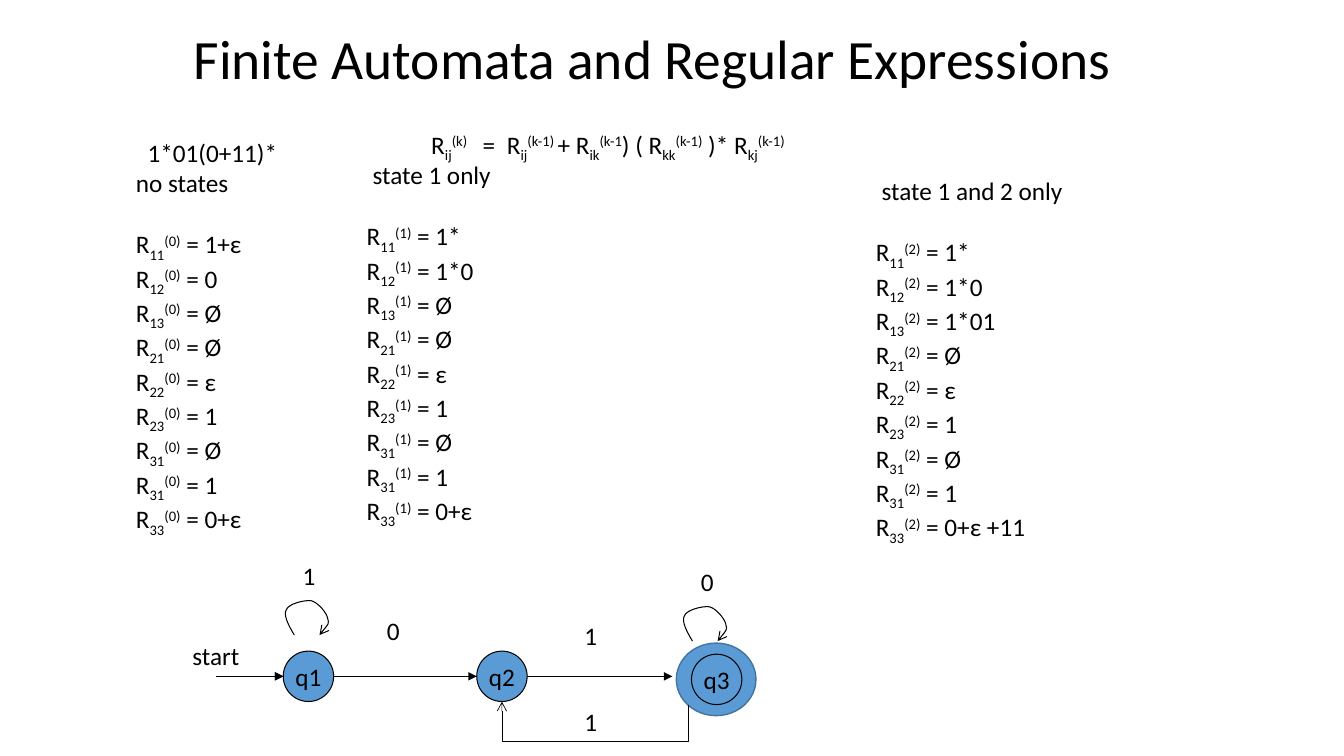
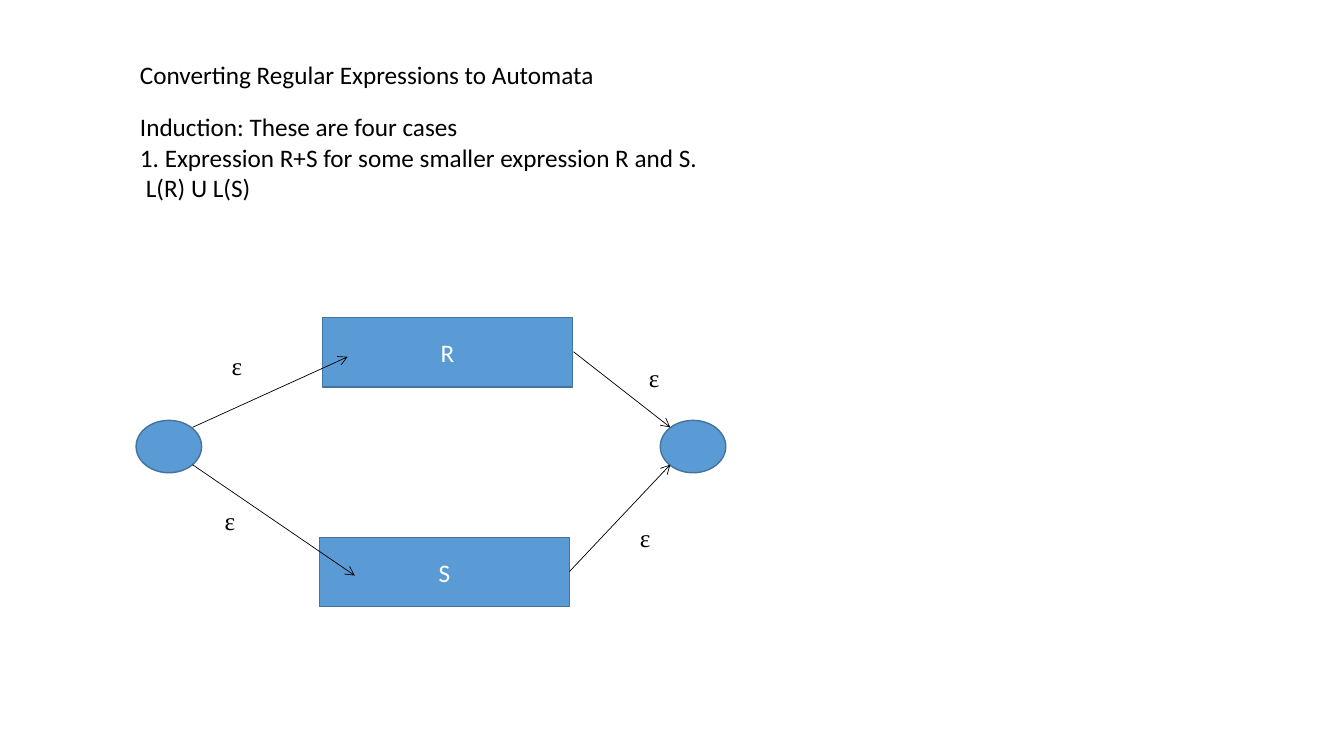
import itertools

import lxml.etree
import pptx
import pptx.dml.color
import pptx.enum.shapes
import pptx.enum.text
import pptx.oxml.ns
import pptx.util

SLIDE_WIDTH = pptx.util.Inches(13.33)
SLIDE_HEIGHT = pptx.util.Inches(7.5)
COLUMNS = 80
ROWS = 45

BLACK = pptx.dml.color.RGBColor(0x00, 0x00, 0x00)
WHITE = pptx.dml.color.RGBColor(0xFF, 0xFF, 0xFF)
BLUE = pptx.dml.color.RGBColor(0x5B, 0x9B, 0xD5)
DARK_BLUE = pptx.dml.color.RGBColor(0x43, 0x73, 0x9E)

BODY_FONT = "Calibri"
GREEK_FONT = "Times New Roman"
BLANK_LINE = 22
LABEL_HEIGHT = 2.4
STATE_SIZE = 3

RECTANGLE = pptx.enum.shapes.MSO_SHAPE.RECTANGLE
OVAL = pptx.enum.shapes.MSO_SHAPE.OVAL
CENTER = pptx.enum.text.PP_ALIGN.CENTER
TOP = pptx.enum.text.MSO_ANCHOR.TOP
MIDDLE = pptx.enum.text.MSO_ANCHOR.MIDDLE

INDEX_PAIRS = "11 12 13 21 22 23 31 31 33".split()
LOOP_CURVE = [
    (0.66, 2.1), (0.3, 1.5), (0, 0.9), (0.18, 0.6), (0.3, 0.24),
    (1.26, 0), (1.68, 0.06), (2.1, 0.18), (2.58, 0.78), (2.64, 1.08),
    (2.76, 1.44), (2.46, 1.74), (2.16, 2.1),
]


def col(count):
    return pptx.util.Emu(round(SLIDE_WIDTH * count / COLUMNS))


def row(count):
    return pptx.util.Emu(round(SLIDE_HEIGHT * count / ROWS))


def area(left, top, width, height):
    return col(left), row(top), col(width), row(height)


def add_element(parent, tag, **attributes):
    return lxml.etree.SubElement(parent, pptx.oxml.ns.qn(tag), attributes)


def write(frame, lines, size=18, font=BODY_FONT, color=BLACK, align=None,
          anchor=TOP, wrap=True, spacing=None, indents=None, gaps=None, tabs=()):
    """Each "|" in a line moves on from normal to subscript to superscript."""
    frame.word_wrap = wrap
    frame.vertical_anchor = anchor
    for number, line in enumerate(lines):
        paragraph = frame.add_paragraph() if number else frame.paragraphs[0]
        paragraph.alignment = align
        paragraph.line_spacing = spacing
        if gaps and number in gaps:
            paragraph.space_before = pptx.util.Pt(gaps[number])
        properties = paragraph._p.get_or_add_pPr()
        if indents and number in indents:
            properties.set("marL", str(col(indents[number])))
            properties.set("indent", "0")
        if tabs:
            stops = add_element(properties, "a:tabLst")
            for stop in tabs:
                add_element(stops, "a:tab", pos=str(col(stop)), algn="l")
        for part, baseline in zip(line.split("|"), itertools.cycle((0, -25000, 30000))):
            run = paragraph.add_run()
            run.text = part
            run.font.size = pptx.util.Pt(size)
            run.font.name = font
            run.font.color.rgb = color
            if baseline:
                run._r.get_or_add_rPr().set("baseline", str(baseline))


def add_text(slide, place, lines, **style):
    write(slide.shapes.add_textbox(*area(*place)).text_frame, lines, **style)


def add_label(slide, left, top, text, width=2, **style):
    add_text(slide, (left, top, width, LABEL_HEIGHT), [text], wrap=False, **style)


def add_block(slide, kind, place, text="", outline=DARK_BLUE, weight=1, **style):
    block = slide.shapes.add_shape(kind, *area(*place))
    block.shadow.inherit = False
    block.fill.solid()
    block.fill.fore_color.rgb = BLUE
    block.line.color.rgb = outline
    block.line.width = pptx.util.Pt(weight)
    if text:
        write(block.text_frame, [text], align=CENTER, anchor=MIDDLE, **style)


def add_state(slide, left, top, name):
    add_block(slide, OVAL, (left, top, STATE_SIZE, STATE_SIZE), name,
              outline=BLACK, weight=0.75, wrap=False)


def point_arrow(line, weight, head):
    line.color.rgb = BLACK
    line.width = pptx.util.Pt(weight)
    add_element(line._get_or_add_ln(), "a:tailEnd", type=head)


def add_arrow(slide, start, end, weight=0.5, head="arrow",
              kind=pptx.enum.shapes.MSO_CONNECTOR.STRAIGHT):
    arrow = slide.shapes.add_connector(
        kind, col(start[0]), row(start[1]), col(end[0]), row(end[1]))
    point_arrow(arrow.line, weight, head)
    add_element(arrow._element.spPr, "a:effectLst")
    return arrow


def add_return_arrow(slide, start, end, drop):
    middle_x, middle_y = (start[0] + end[0]) / 2, (start[1] + end[1]) / 2
    half_span, half_rise = (start[0] - end[0]) / 2, (start[1] - end[1]) / 2
    arrow = add_arrow(slide, (middle_x + half_rise, middle_y - half_span),
                      (middle_x - half_rise, middle_y + half_span),
                      kind=pptx.enum.shapes.MSO_CONNECTOR.ELBOW)
    properties = arrow._element.spPr
    properties.find(pptx.oxml.ns.qn("a:xfrm")).set("rot", str(90 * 60000))
    geometry = properties.find(pptx.oxml.ns.qn("a:prstGeom"))
    guides = geometry.find(pptx.oxml.ns.qn("a:avLst"))
    if guides is None:
        guides = add_element(geometry, "a:avLst")
    bend = round(-drop / (2 * half_rise) * 100000)
    add_element(guides, "a:gd", name="adj1", fmla=f"val {bend}")


def add_loop(slide, left, top, symbol):
    points = [(col(left + x), row(top + y)) for x, y in LOOP_CURVE]
    builder = slide.shapes.build_freeform(*points[0])
    builder.add_line_segments(points[1:], close=False)
    loop = builder.convert_to_shape()
    loop.shadow.inherit = False
    loop.fill.background()
    point_arrow(loop.line, 0.75, "arrow")
    outline = next(loop._element.iter(pptx.oxml.ns.qn("a:path")))
    segments = outline.findall(pptx.oxml.ns.qn("a:lnTo"))
    for first in range(0, len(segments), 3):
        curve = add_element(outline, "a:cubicBezTo")
        for segment in segments[first:first + 3]:
            curve.append(segment[0])
            outline.remove(segment)
    add_label(slide, left + 0.57, top - 2.64, symbol)


def add_derivation(slide, left, top, step, headings, values, indent):
    equations = [f"R|{pair}|({step})| = {value}"
                 for pair, value in zip(INDEX_PAIRS, values.split(", "))]
    add_text(slide, (left, top, 14.94, 20.58), headings + equations,
             indents={0: indent}, gaps={len(headings): BLANK_LINE})


def build_expressions(slide):
    add_text(slide, (4.74, 1.26, 68.16, 4.8),
             ["Finite Automata and Regular Expressions"],
             size=39.6, align=CENTER, anchor=MIDDLE, spacing=0.9)

    add_derivation(slide, 7.5, 7.88, 0, ["1*01(0+11)*", "no states"],
                   "1+ε, 0, Ø, Ø, ε, 1, Ø, 1, 0+ε", indent=0.7)
    add_derivation(slide, 21.24, 9.2, 1, ["state 1 only"],
                   "1*, 1*0, Ø, Ø, ε, 1, Ø, 1, 0+ε", indent=0.35)
    add_derivation(slide, 51.54, 10.16, 2, ["state 1 and 2 only"],
                   "1*, 1*0, 1*01, Ø, ε, 1, Ø, 1, 0+ε +11", indent=0.35)
    add_text(slide, (25.08, 7.38, 40.56, LABEL_HEIGHT),
             ["R|ij|(k)|\t=\tR|ij|(k-1) |+ R|ik|(k-1|) ( R|kk|(k-1)| )* R|kj|(k-1)"],
             tabs=(3.06, 4.5))

    axis = 40.26
    for start, end in ((12.84, 16.86), (13.38, 16.86), (19.86, 28.38), (31.38, 40.02)):
        add_arrow(slide, (start, axis), (end, axis), weight=0.75, head="triangle")
    add_state(slide, 16.86, axis - STATE_SIZE / 2, "q1")
    add_state(slide, 28.38, axis - STATE_SIZE / 2, "q2")
    add_block(slide, OVAL, (40.26, 38.28, 4.74, 4.32))
    add_state(slide, 41.16, 38.94, "q3")
    add_return_arrow(slide, (40.98, 41.94), (29.88, 41.76), drop=2.2)

    add_loop(slide, 16.86, 35.7, "1")
    add_loop(slide, 40.56, 36.06, "0")
    add_label(slide, 10.86, 37.8, "start", width=4)
    for left, top, symbol in ((22.44, 36.36, "0"), (34.2, 36.66, "1"), (34.2, 41.76, "1")):
        add_label(slide, left, top, symbol)


def build_union(slide):
    add_text(slide, (7.74, 3.24, 67.08, LABEL_HEIGHT),
             ["Converting Regular Expressions to Automata"])
    add_text(slide, (7.74, 6.36, 65.64, 6),
             ["Induction: These are four cases",
              "1. Expression R+S for some smaller expression R and S.",
              "L(R) U L(S)"],
             indents={2: 0.35})

    for left, top, name in ((19.2, 18.9, "R"), (19.02, 31.98, "S")):
        add_block(slide, RECTANGLE, (left, top, 14.88, 4.14), name, color=WHITE)
    for left in (8.1, 39.3):
        add_block(slide, OVAL, (left, 25.02, 3.9, 3.12))

    for start, end in (
        ((11.46, 25.44), (20.7, 21.24)),
        ((34.14, 20.94), (39.9, 25.44)),
        ((11.46, 27.66), (21.12, 34.26)),
        ((33.9, 34.02), (39.9, 27.66)),
    ):
        add_arrow(slide, start, end)
    for left, top in ((13.2, 20.58), (38.04, 21.3), (12.78, 29.76), (37.5, 30.78)):
        add_label(slide, left, top, "ε", width=1.8, font=GREEK_FONT)


def main():
    deck = pptx.Presentation()
    deck.slide_width = SLIDE_WIDTH
    deck.slide_height = SLIDE_HEIGHT
    blank = deck.slide_layouts[6]
    for build in (build_expressions, build_union):
        build(deck.slides.add_slide(blank))
    deck.save("out.pptx")


if __name__ == "__main__":
    main()
